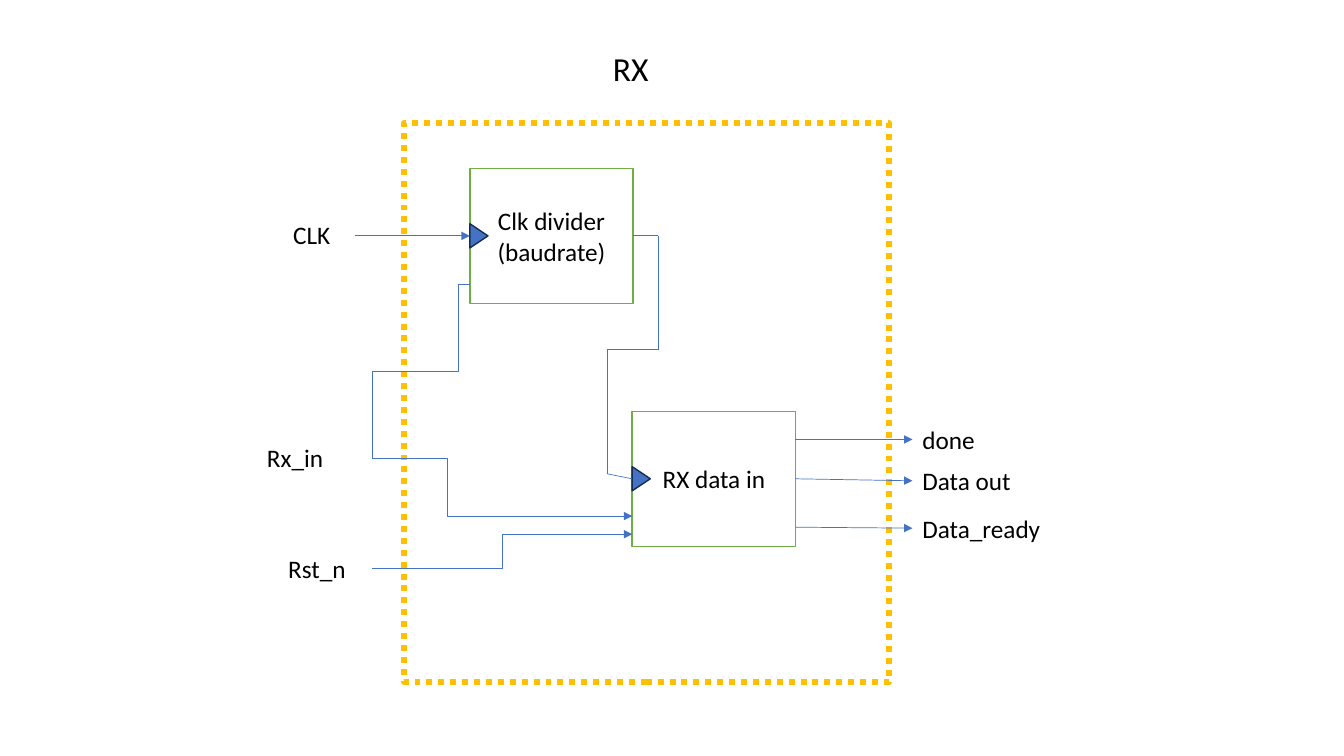
from lxml import etree
from pptx import Presentation
from pptx.dml.color import RGBColor
from pptx.enum.dml import MSO_LINE
from pptx.enum.shapes import MSO_CONNECTOR, MSO_SHAPE
from pptx.enum.text import MSO_ANCHOR, PP_ALIGN
from pptx.oxml.ns import qn
from pptx.util import Inches, Pt

RECTANGLE = MSO_SHAPE.RECTANGLE
TRIANGLE = MSO_SHAPE.ISOSCELES_TRIANGLE
STRAIGHT = MSO_CONNECTOR.STRAIGHT
ELBOW = MSO_CONNECTOR.ELBOW
DOTTED = MSO_LINE.ROUND_DOT
MIDDLE = MSO_ANCHOR.MIDDLE
CENTER = PP_ALIGN.CENTER
LEFT = PP_ALIGN.LEFT

FONT = "Calibri"
COLORS = {
    "white": "FFFFFF",
    "text": "000000",
    "frame": "FFC000",
    "block": "70AD47",
    "wire": "4472C4",
    "clock_edge": "172C51",
}
BLOCK_WIDTH, BLOCK_HEIGHT = 1.62, 1.34
LABEL_HEIGHT = 0.4


def color(name):
    return RGBColor.from_string(COLORS[name])


def write(shape, lines, size, alignment):
    text_frame = shape.text_frame
    text_frame.word_wrap = True
    text_frame.text = "\n".join(lines)
    for paragraph in text_frame.paragraphs:
        paragraph.alignment = alignment
        paragraph.font.name = FONT
        paragraph.font.size = Pt(size)
        paragraph.font.color.rgb = color("text")


def add_label(slide, text, left, top, width, height=LABEL_HEIGHT, size=18):
    label = slide.shapes.add_textbox(
        Inches(left), Inches(top), Inches(width), Inches(height))
    write(label, [text], size, LEFT)


def add_outline(slide, kind, box, fill, line, weight):
    shape = slide.shapes.add_shape(kind, *map(Inches, box))
    shape.shadow.inherit = False
    shape.fill.solid()
    shape.fill.fore_color.rgb = color(fill)
    shape.line.color.rgb = color(line)
    shape.line.width = Pt(weight)
    return shape


def add_wire(slide, start, end, kind=STRAIGHT, arrow=False, quarter_turn=False):
    wire = slide.shapes.add_connector(kind, *map(Inches, (*start, *end)))
    wire.line.color.rgb = color("wire")
    wire.line.width = Pt(0.5)
    properties = wire._element.spPr
    if arrow:
        etree.SubElement(wire.line._get_or_add_ln(), qn("a:tailEnd"), type="triangle")
    if quarter_turn:
        properties.find(qn("a:xfrm")).set("rot", str(90 * 60000))
    etree.SubElement(properties, qn("a:effectLst"))


def add_block(slide, lines, left, top):
    """Add a logic block with a clock input halfway down its left edge."""
    block = add_outline(slide, RECTANGLE, (left, top, BLOCK_WIDTH, BLOCK_HEIGHT),
                        "white", "block", 1)
    block.text_frame.vertical_anchor = MIDDLE
    write(block, lines, 18, CENTER)
    base, depth = 0.24, 0.18
    clock_box = (left + (depth - base) / 2, top + (BLOCK_HEIGHT - depth) / 2, base, depth)
    clock_input = add_outline(slide, TRIANGLE, clock_box, "wire", "clock_edge", 1)
    clock_input.rotation = 90


def add_frame(slide, left, top, width, height):
    frame = add_outline(slide, RECTANGLE, (left, top, width, height),
                        "white", "frame", 4.25)
    frame.line.dash_style = DOTTED
    add_label(slide, "RX", left + 1.97, top - 0.79, 1.47, 0.5, 24)


def add_inputs(slide, divider, receiver):
    divider_left, divider_top = divider
    receiver_left, receiver_top = receiver
    clock_y = divider_top + BLOCK_HEIGHT / 2
    add_label(slide, "CLK", 2.81, 2.13, 0.71)
    add_wire(slide, (3.52, clock_y), (divider_left, clock_y), arrow=True)

    add_label(slide, "Rx_in", 2.55, 4.34, 1.13)
    data_y = receiver_top + 1.04
    add_wire(slide, (3.69, 4.55), (5.19, data_y), ELBOW)
    add_wire(slide, (5.19, data_y), (receiver_left, data_y), arrow=True)
    # The elbow leaves Rx_in vertically, so it is laid out flat and then turned.
    add_wire(slide, (4.98, 4.11), (3.26, 3.25), ELBOW, quarter_turn=True)
    add_wire(slide, (4.55, 2.82), (divider_left, 2.82))

    add_label(slide, "Rst_n", 2.76, 5.44, 0.93)
    add_wire(slide, (3.69, 5.64), (receiver_left, receiver_top + 1.22), ELBOW, arrow=True)


def add_divided_clock(slide, divider, receiver):
    """Lead the divider's output round to the receiver's clock input."""
    start = (divider[0] + BLOCK_WIDTH, divider[1] + BLOCK_HEIGHT / 2)
    end = (receiver[0], receiver[1] + BLOCK_HEIGHT / 2)
    corners = [start, (6.53, start[1]), (6.53, 3.47), (6.02, 3.47), (6.02, 4.7), end]
    for corner, following in zip(corners, corners[1:]):
        add_wire(slide, corner, following)


def add_outputs(slide, receiver):
    left = receiver[0] + BLOCK_WIDTH
    label_left = 9.05
    for text, start_y, end_y, width in (
        ("done", 4.36, 4.36, 1.45),
        ("Data out", 4.75, 4.77, 1.21),
        ("Data_ready", 5.23, 5.24, 1.45),
    ):
        add_wire(slide, (left, start_y), (label_left, end_y), arrow=True)
        add_label(slide, text, label_left, end_y - LABEL_HEIGHT / 2, width)


def main():
    presentation = Presentation()
    presentation.slide_width = Inches(13.33)
    presentation.slide_height = Inches(7.5)
    slide = presentation.slides.add_slide(presentation.slide_layouts[6])
    divider, receiver = (4.66, 1.67), (6.27, 4.08)
    add_frame(slide, 4.01, 1.22, 4.81, 5.55)
    add_block(slide, ["Clk divider", "(baudrate)"], *divider)
    add_block(slide, ["RX data in"], *receiver)
    add_inputs(slide, divider, receiver)
    add_divided_clock(slide, divider, receiver)
    add_outputs(slide, receiver)
    presentation.save("out.pptx")


if __name__ == "__main__":
    main()
